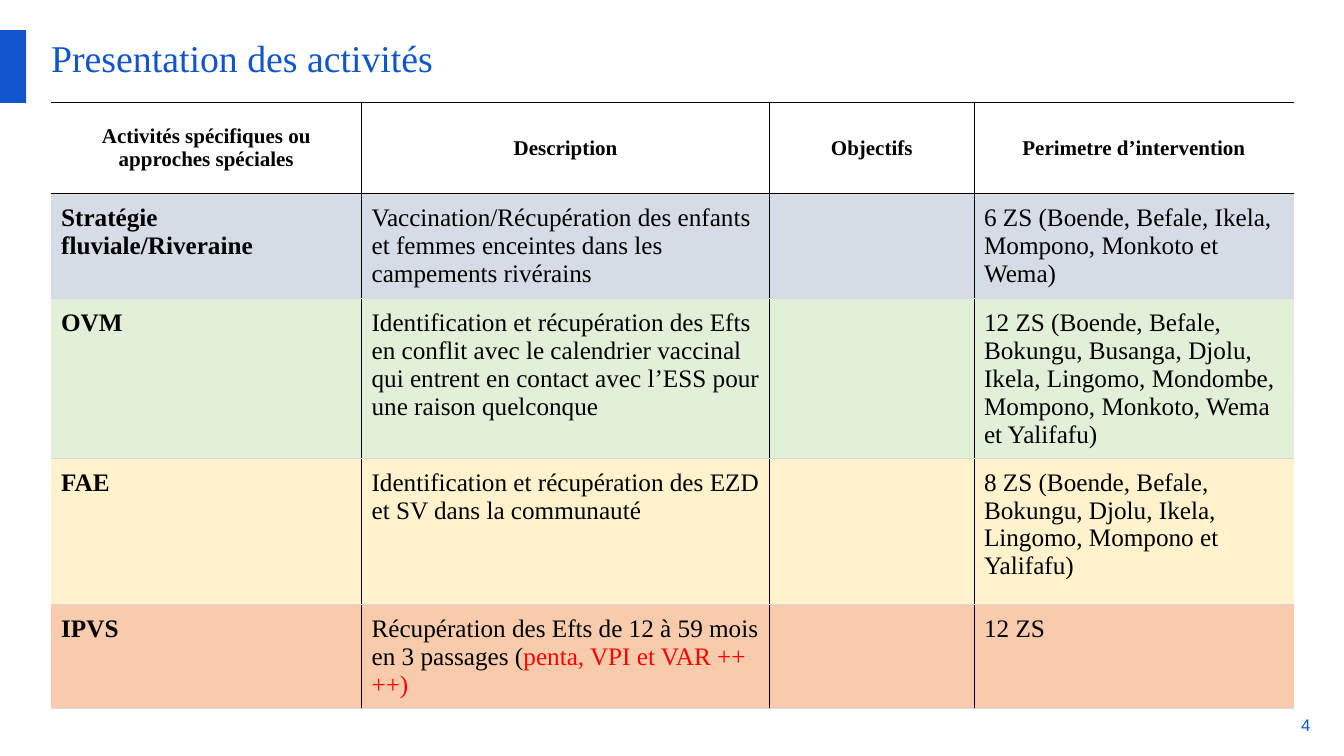
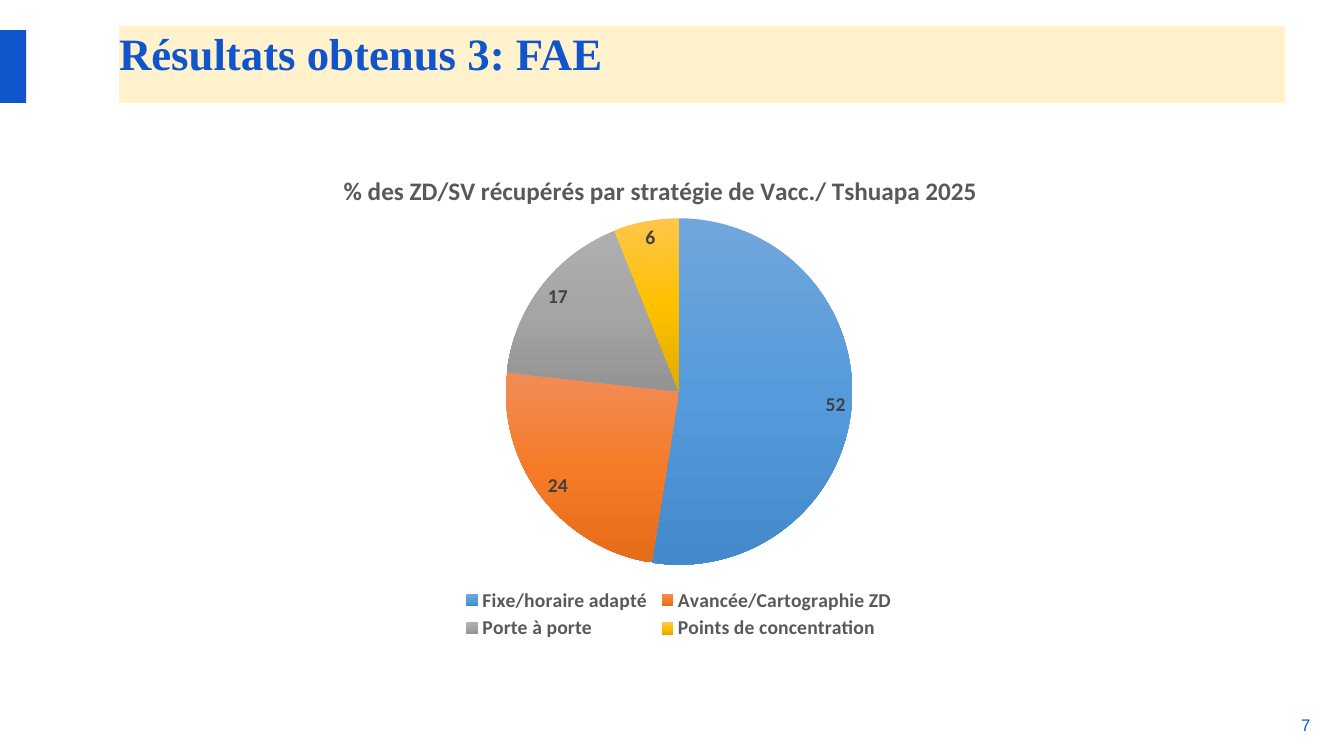
from copy import deepcopy

from lxml.etree import SubElement
from pptx import Presentation
from pptx.chart.data import CategoryChartData
from pptx.dml.color import RGBColor
from pptx.enum.chart import XL_CHART_TYPE, XL_LABEL_POSITION, XL_LEGEND_POSITION
from pptx.enum.shapes import MSO_SHAPE
from pptx.enum.text import MSO_ANCHOR, MSO_AUTO_SIZE, PP_ALIGN
from pptx.oxml.ns import qn
from pptx.util import Pt

COLORS = {
    "blue": "1155CC", "black": "000000", "red": "FF0000", "line": "D9D9D9",
    "slate": "D6DCE5", "green": "E2F0D9", "cream": "FFF2CC", "salmon": "F8CBAD",
    "chart text": "595959", "label": "404040",
}
SERIF, SANS, CHART_FONT = "Times New Roman", "Arial", "Calibri"

HEADERS = ["Activités spécifiques ou approches spéciales", "Description",
           "Objectifs", "Perimetre d’intervention"]
# Row colour, then the cells; a cell is a list of (text, colour) runs or a plain string.
ACTIVITIES = [
    ("slate", ["Stratégie fluviale/Riveraine",
               "Vaccination/Récupération des enfants et femmes enceintes dans les "
               "campements rivérains",
               "", "6 ZS (Boende, Befale, Ikela, Mompono, Monkoto et Wema)"]),
    ("green", ["OVM",
               "Identification et récupération des Efts en conflit avec le calendrier "
               "vaccinal qui entrent en contact avec l’ESS pour une raison quelconque",
               "", "12 ZS (Boende, Befale, Bokungu, Busanga, Djolu, Ikela, Lingomo, "
               "Mondombe, Mompono, Monkoto, Wema et Yalifafu)"]),
    ("cream", ["FAE", "Identification et récupération des EZD et SV dans la communauté",
               "", "8 ZS (Boende, Befale, Bokungu, Djolu, Ikela, Lingomo, Mompono et "
               "Yalifafu)"]),
    ("salmon", ["IPVS",
                [("Récupération des Efts de 12 à 59 mois en 3 passages (", "black"),
                 ("penta, VPI et VAR ++++)", "red")],
                "", "12 ZS"]),
]
COLUMN_WIDTHS = [221.75, 291.5, 146, 228.5]
ROW_HEIGHTS = [65.5, 75, 114, 104.5, 74]

CHART_TITLE = "% des ZD/SV récupérés par stratégie de Vacc./ Tshuapa 2025"
STRATEGIES = [  # name, share, gradient from top to bottom
    ("Fixe/horaire adapté", 52, ("71A6DB", "559BDB", "448ACA")),
    ("Avancée/Cartographie ZD", 24, ("F18C57", "F67B28", "E56C19")),
    ("Porte à porte", 17, ("AFAFAF", "A5A5A5", "939393")),
    ("Points de concentration", 6, ("FFC64B", "FFC000", "E3AB00")),
]


def color(name):
    return RGBColor.from_string(COLORS[name])


def set_font(font, size, name, color_name, bold=False):
    font.size, font.name, font.bold = Pt(size), name, bold
    font.color.rgb = color(color_name)


def write(frame, content, size, font=SERIF, color_name="black", bold=False,
          align=PP_ALIGN.LEFT):
    """Fill the first paragraph with a string or with (text, colour) runs."""
    paragraph = frame.paragraphs[0]
    paragraph.alignment = align
    runs = [(content, color_name)] if isinstance(content, str) else content
    for text, run_color in runs:
        run = paragraph.add_run()
        run.text = text
        set_font(run.font, size, font, run_color, bold)


def clear_margins(frame, anchor):
    frame.margin_left = frame.margin_top = frame.margin_right = frame.margin_bottom = 0
    frame.vertical_anchor = anchor
    frame.word_wrap = True
    frame.auto_size = MSO_AUTO_SIZE.NONE


def place(shape, box):
    shape.left, shape.top, shape.width, shape.height = map(Pt, box)


def add_page(presentation, title_text, number, title_box, size, bold=False, band=None):
    """Add a slide with its title, blue side bar and page number."""
    slide = presentation.slides.add_slide(presentation.slide_layouts[5])
    title = slide.shapes.title
    place(title, title_box)
    clear_margins(title.text_frame, MSO_ANCHOR.TOP)
    write(title.text_frame, title_text, size, color_name="blue", bold=bold)
    if band:
        title.fill.solid()
        title.fill.fore_color.rgb = color(band)

    bar = slide.shapes.add_shape(MSO_SHAPE.RECTANGLE, 0, Pt(21.5), Pt(18.75), Pt(52))
    bar.shadow.inherit = False
    bar.fill.solid()
    bar.fill.fore_color.rgb = color("blue")
    bar.line.fill.background()

    page_number = slide.shapes.add_textbox(Pt(918), Pt(511), Pt(18), Pt(13))
    clear_margins(page_number.text_frame, MSO_ANCHOR.MIDDLE)
    write(page_number.text_frame, number, 12, SANS, "blue", align=PP_ALIGN.RIGHT)
    return slide


def set_borders(cell, borders):
    """Draw the left, right, top and bottom borders; None leaves a side open."""
    properties = cell._tc.get_or_add_tcPr()
    for side, color_name in zip("LRTB", borders):
        line = SubElement(properties, qn(f"a:ln{side}"), w=str(Pt(0.75)))
        if color_name:
            fill = SubElement(line, qn("a:solidFill"))
            SubElement(fill, qn("a:srgbClr"), val=COLORS[color_name])
        else:
            SubElement(line, qn("a:noFill"))


def add_activities_table(slide):
    rows = [(None, HEADERS)] + ACTIVITIES
    last_column = len(HEADERS) - 1
    table = slide.shapes.add_table(
        len(rows), len(HEADERS), Pt(36.5), Pt(73), Pt(sum(COLUMN_WIDTHS)),
        Pt(sum(ROW_HEIGHTS))).table
    table.first_row = table.horz_banding = False
    for column, width in zip(table.columns, COLUMN_WIDTHS):
        column.width = Pt(width)
    for row_index, (row_color, contents) in enumerate(rows):
        table.rows[row_index].height = Pt(ROW_HEIGHTS[row_index])
        is_header = row_index == 0
        for column_index, content in enumerate(contents):
            cell = table.cell(row_index, column_index)
            cell.margin_left = cell.margin_right = Pt(7.2)
            cell.margin_top = cell.margin_bottom = Pt(7.2)
            set_borders(cell, (
                "black" if column_index > 0 else None,
                "black" if column_index < last_column else None,
                "black" if row_index <= 1 else "line",
                "black" if is_header else "line"))
            if is_header:
                cell.fill.background()
                cell.vertical_anchor = MSO_ANCHOR.MIDDLE
            else:
                cell.fill.solid()
                cell.fill.fore_color.rgb = color(row_color)
            if content:
                write(cell.text_frame, content, 15 if is_header else 18,
                      bold=is_header or column_index == 0,
                      align=PP_ALIGN.CENTER if is_header else PP_ALIGN.LEFT)


def set_layout(element, index, **fractions):
    """Fix a chart part at fractions (x, y, w, h) of the chart's size."""
    for old_layout in element.findall(qn("c:layout")):
        element.remove(old_layout)
    layout = element.makeelement(qn("c:layout"))
    element.insert(index, layout)
    manual = SubElement(layout, qn("c:manualLayout"))
    if element.tag == qn("c:plotArea"):
        SubElement(manual, qn("c:layoutTarget"), val="inner")
    for axis in "xy":
        SubElement(manual, qn(f"c:{axis}Mode"), val="edge")
    for name, value in fractions.items():
        SubElement(manual, qn(f"c:{name}"), val=str(value))


def add_strategy_chart(slide):
    data = CategoryChartData(number_format="0")
    data.categories = [name for name, _, _ in STRATEGIES]
    data.add_series("Series 1", [share for _, share, _ in STRATEGIES])
    chart = slide.shapes.add_chart(
        XL_CHART_TYPE.PIE, Pt(157), Pt(106.5), Pt(656), Pt(353.5), data).chart
    set_font(chart.font, 14, CHART_FONT, "black", True)
    write(chart.chart_title.text_frame, CHART_TITLE, 18, CHART_FONT, "chart text", True,
          PP_ALIGN.CENTER)

    chart.has_legend = True
    chart.legend.position = XL_LEGEND_POSITION.BOTTOM
    chart.legend.include_in_layout = False
    set_font(chart.legend.font, 14, CHART_FONT, "chart text", True)

    plot = chart.plots[0]
    plot.vary_by_categories = True
    plot.has_data_labels = True
    labels = plot.data_labels
    labels.show_value, labels.show_percentage = True, False
    labels.number_format, labels.number_format_is_linked = "0", False
    labels.position = XL_LABEL_POSITION.BEST_FIT
    set_font(labels.font, 14, CHART_FONT, "label", True)

    fills = [plot.series[0].points[index].format.fill for index in range(len(STRATEGIES))]
    for fill in fills:
        fill.gradient()
        fill.gradient_angle = 270
    for stop_list in chart._chartSpace.iter(qn("a:gsLst")):
        stop_list.append(deepcopy(stop_list[-1]))
    for fill, (_, _, shades) in zip(fills, STRATEGIES):
        for stop, position, shade in zip(fill.gradient_stops, (0, 0.5, 1), shades):
            stop.position = position
            stop.color.rgb = RGBColor.from_string(shade)

    chart_element = chart._chartSpace.chart
    set_layout(chart_element.find(qn("c:title")), 1, x=0.13, y=0.04)
    set_layout(chart_element.plotArea, 0, x=0.31, y=0.14, w=0.38, h=0.7)
    set_layout(chart_element.find(qn("c:legend")), 1, x=0.26, y=0.88, w=0.48, h=0.12)


def main():
    presentation = Presentation()
    presentation.slide_width, presentation.slide_height = Pt(960), Pt(540)
    activities = add_page(presentation, "Presentation des activités", "4",
                          (36.5, 25, 888, 57.5), 27)
    add_activities_table(activities)
    results = add_page(presentation, "Résultats obtenus 3: FAE", "7",
                       (85, 18.5, 833, 55), 32, bold=True, band="cream")
    add_strategy_chart(results)
    presentation.save("out.pptx")


if __name__ == "__main__":
    main()
